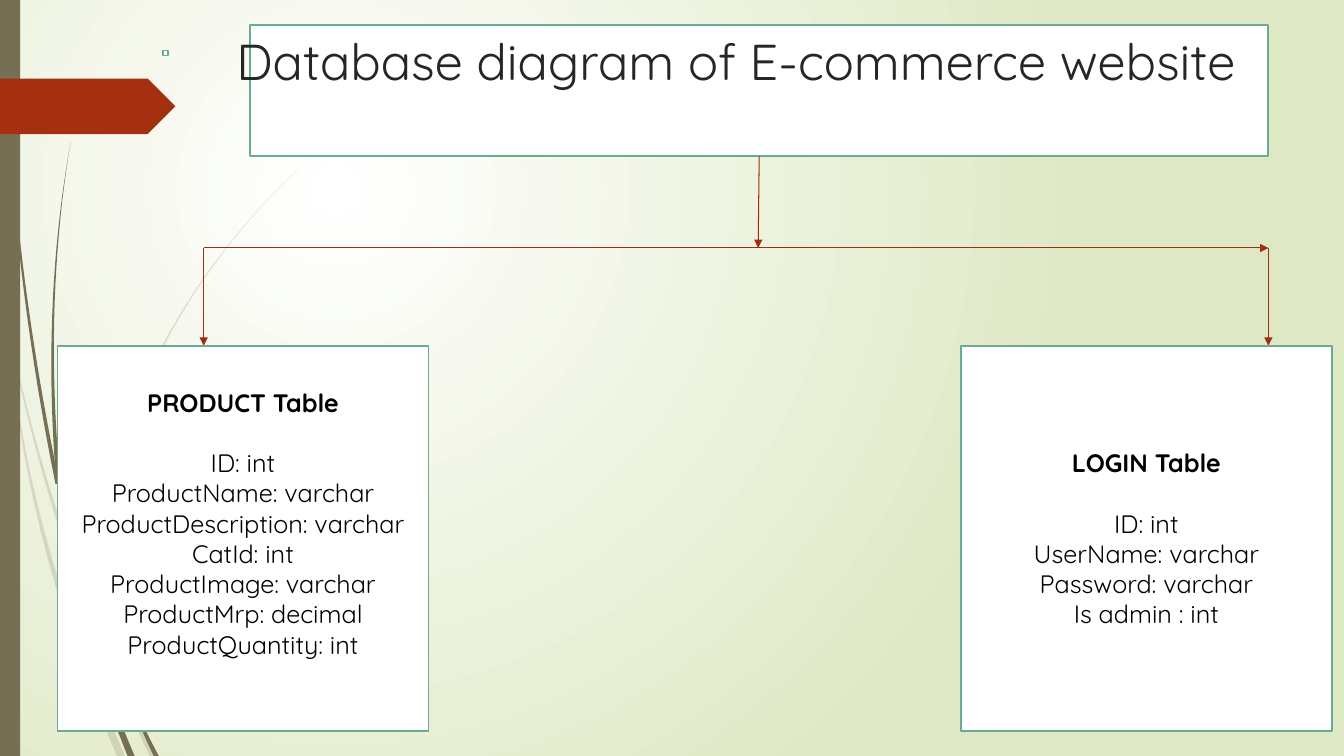
from collections import namedtuple

from lxml import etree
from pptx import Presentation
from pptx.dml.color import RGBColor
from pptx.enum.shapes import MSO_CONNECTOR, MSO_SHAPE
from pptx.enum.text import MSO_ANCHOR, PP_ALIGN
from pptx.oxml.ns import qn
from pptx.util import Inches, Pt

RECT, TAG = MSO_SHAPE.RECTANGLE, MSO_SHAPE.PENTAGON
STRAIGHT = MSO_CONNECTOR.STRAIGHT
TOP, MIDDLE = MSO_ANCHOR.TOP, MSO_ANCHOR.MIDDLE
CENTER = PP_ALIGN.CENTER

# A blade of grass runs from its tip through a middle point to its root,
# and widens evenly from nothing to its root width. Lengths are inches.
Blade = namedtuple("Blade", "tip middle root width opacity")
BLADES = [
    # Pale grass: outer stem, inner stem, long bow
    Blade((0, 2.8), (0.59, 5.2), (1.52, 7.5), 0.07, 20),
    Blade((0.11, 3.5), (0.47, 5.45), (1.2, 7.5), 0.08, 20),
    Blade((3.12, 1.53), (1.59, 3.48), (0.86, 5.9), 0.04, 20),
    # Dark grass: long stem, its foot, thin leaf, short bow, side foot
    Blade((0.04, 0), (0.19, 2.4), (0.57, 4.8), 0.04, 100),
    Blade((0.57, 4.77), (0.82, 6.1), (1.3, 7.5), 0.07, 100),
    Blade((0.7, 1.41), (0.53, 3.07), (0.58, 4.8), 0.04, 100),
    Blade((2.6, 3.44), (1.57, 4.75), (1.08, 6.4), 0.04, 100),
    Blade((1.1, 6.41), (1.32, 7), (1.55, 7.5), 0.05, 100),
]
BLADE_STEPS = 24

PRODUCT_FIELDS = ["ID: int", "ProductName: varchar",
                  "ProductDescription: varchar", "CatId: int",
                  "ProductImage: varchar", "ProductMrp: decimal",
                  "ProductQuantity: int"]
LOGIN_FIELDS = ["ID: int", "UserName: varchar", "Password: varchar",
                "Is admin : int"]


def rgb(color):
    return RGBColor.from_string(color)


def apply(target, values):
    for name, value in values.items():
        setattr(target, name, value)


def curve_point(start, middle, end, t):
    """Point at t on the parabola that meets middle at t = 0.5."""
    a, b, c = (1 - t) * (1 - 2 * t), 4 * t * (1 - t), t * (2 * t - 1)
    return [a * p + b * q + c * r for p, q, r in zip(start, middle, end)]


class Deck:
    font = "Quicksand"
    olive, red, arrow, edge = "766F54", "A53010", "9E2E0F", "6AAC91"
    white, black, charcoal, lime = "FFFFFF", "000000", "262626", "DFE8C4"
    title_size, body_size, heading_gap = 36, 18, 21.6
    edge_width, arrow_width = 1.25, 0.75

    def __init__(self, prs):
        self.s = prs.slides.add_slide(prs.slide_layouts[6])

    def background(self, inner, outer):
        fill = self.s.background.fill
        fill.gradient()
        for position, (stop, color) in enumerate(
                zip(fill.gradient_stops, (inner, outer))):
            stop.color.rgb = rgb(color)
            stop.position = position
        # Make the gradient circular, centred a quarter in from top left
        grad = self.s.element.find(".//" + qn("a:gradFill"))
        grad.remove(grad.find(qn("a:lin")))
        circle = etree.SubElement(grad, qn("a:path"), path="circle")
        etree.SubElement(circle, qn("a:fillToRect"), l="50000", t="50000",
                         r="100000", b="100000")

    def paint(self, sp, fill, line=None):
        sp.shadow.inherit = False
        sp.fill.solid()
        sp.fill.fore_color.rgb = rgb(fill)
        if line:
            sp.line.color.rgb = rgb(line)
            sp.line.width = Pt(self.edge_width)
        else:
            sp.line.fill.background()
        return sp

    def shape(self, kind, box, fill, line=None):
        sp = self.s.shapes.add_shape(kind, *map(Inches, box))
        return self.paint(sp, fill, line)

    def frame(self, box):
        return self.shape(RECT, box, self.white, self.edge)

    def blade(self, blade):
        left, right = [], []
        for step in range(BLADE_STEPS + 1):
            t = step / BLADE_STEPS
            x, y = curve_point(blade.tip, blade.middle, blade.root, t)
            half = blade.width * t / 2
            left.append((Inches(x - half), Inches(y)))
            right.append((Inches(x + half), Inches(y)))
        fb = self.s.shapes.build_freeform(*left[0])
        fb.add_line_segments(left[1:] + right[::-1], close=True)
        sp = self.paint(fb.convert_to_shape(), self.olive)
        color = sp.element.spPr.find(".//" + qn("a:srgbClr"))
        etree.SubElement(color, qn("a:alpha"), val=str(blade.opacity * 1000))

    def arrow_line(self, start, end):
        cn = self.s.shapes.add_connector(STRAIGHT, *map(Inches, start + end))
        cn.line.color.rgb = rgb(self.arrow)
        cn.line.width = Pt(self.arrow_width)
        spPr = cn.element.spPr
        etree.SubElement(spPr.find(qn("a:ln")), qn("a:tailEnd"),
                         type="triangle")
        etree.SubElement(spPr, qn("a:effectLst"))

    def paragraph(self, p, text, size, color, bold=False):
        p.alignment = CENTER
        r = p.add_run()
        r.text = text
        apply(r.font, {"name": self.font, "size": Pt(size), "bold": bold})
        r.font.color.rgb = rgb(color)

    def heading(self, box, text):
        tf = self.s.shapes.add_textbox(*map(Inches, box)).text_frame
        apply(tf, {"word_wrap": True, "vertical_anchor": TOP})
        self.paragraph(tf.paragraphs[0], text, self.title_size, self.charcoal)

    def entity(self, box, name, fields, bottom=0.05):
        tf = self.frame(box).text_frame
        apply(tf, {"word_wrap": True, "vertical_anchor": MIDDLE,
                   "margin_bottom": Inches(bottom)})
        p = tf.paragraphs[0]
        self.paragraph(p, name, self.body_size, self.black, bold=True)
        p.space_after = Pt(self.heading_gap)
        for field in fields:
            self.paragraph(tf.add_paragraph(), field, self.body_size,
                           self.black)


def main():
    prs = Presentation()
    slide_w, slide_h = 13.33, 7.5
    apply(prs, {"slide_width": Inches(slide_w),
                "slide_height": Inches(slide_h)})
    deck = Deck(prs)

    # Backdrop: gradient, grass, side bar and red tag
    deck.background(deck.white, deck.lime)
    for blade in BLADES:
        deck.blade(blade)
    deck.shape(RECT, (0, 0, 0.2, slide_h), deck.olive)
    deck.shape(TAG, (0, 0.78, 1.74, 0.55), deck.red)

    # Title, centred between the two outer arrows
    left, right = 2.02, 12.58
    title_x, title_y, title_h = 2.48, 0.25, 1.3
    title_w = right - title_x
    deck.frame((title_x, title_y, title_w, title_h))
    deck.heading((left, title_y, right - left, title_h),
                 "Database diagram of E-commerce website")

    # Arrows: title to crossbar, along it, then down to each table
    crossbar_y, table_y = 2.46, 3.43
    stem_x = title_x + title_w / 2
    deck.arrow_line((stem_x, title_y + title_h), (stem_x - 0.01, crossbar_y))
    deck.arrow_line((left, crossbar_y), (right, crossbar_y))
    for x in (left, right):
        deck.arrow_line((x, crossbar_y), (x, table_y))

    # Database tables; the deeper bottom margin lifts the product text
    table_w, table_h = 3.68, 3.82
    for x, name, fields, bottom in (
            (0.57, "PRODUCT Table", PRODUCT_FIELDS, 0.35),
            (9.53, "LOGIN Table", LOGIN_FIELDS, 0.05)):
        deck.entity((x, table_y, table_w, table_h), name, fields, bottom)

    # Small square marker
    deck.frame((1.62, 0.5, 0.05, 0.05))
    prs.save("out.pptx")


if __name__ == "__main__":
    main()
